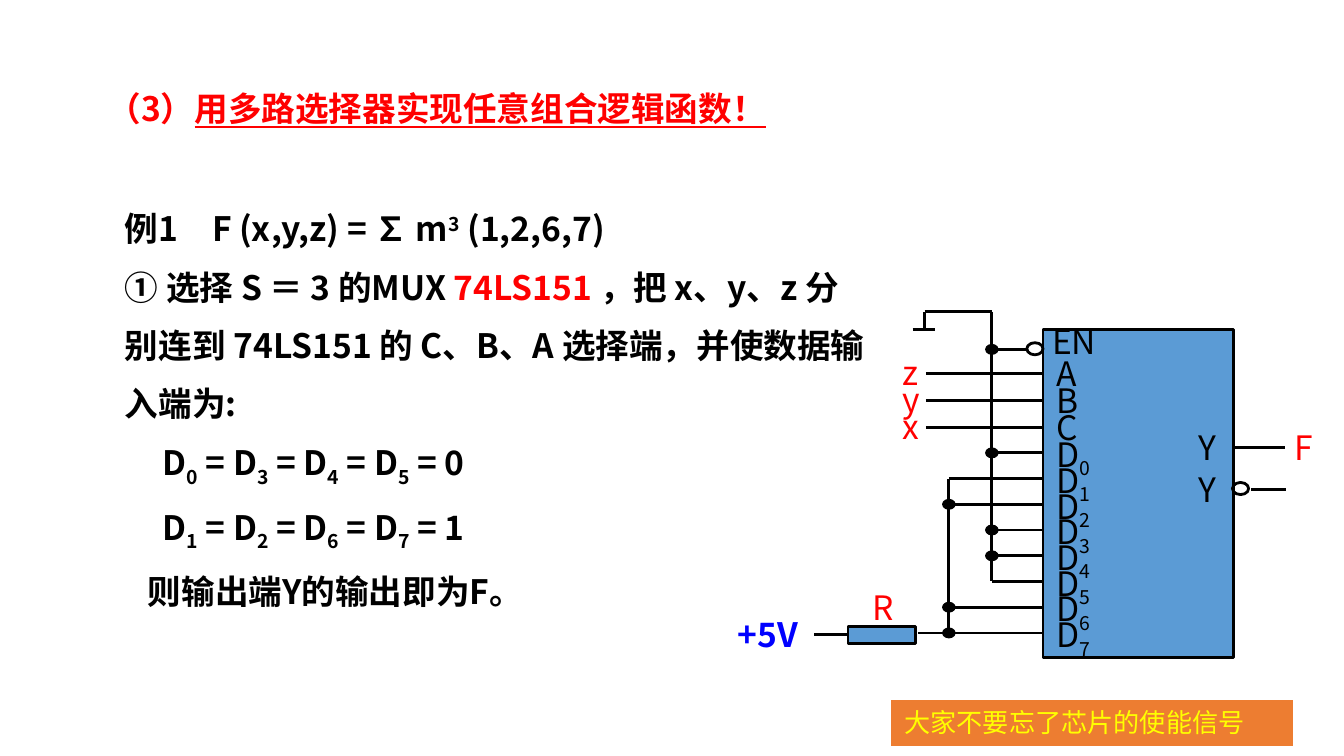
import pptx
import pptx.dml.color
import pptx.enum.shapes
import pptx.enum.text
import pptx.oxml.ns
import pptx.util
from lxml import etree

Inches = pptx.util.Inches
RGBColor = pptx.dml.color.RGBColor
Shape = pptx.enum.shapes.MSO_SHAPE
qn = pptx.oxml.ns.qn

BLACK = RGBColor(0x00, 0x00, 0x00)
RED = RGBColor(0xFF, 0x00, 0x00)
BLUE = RGBColor(0x00, 0x00, 0xFF)
CHIP_BLUE = RGBColor(0x5B, 0x9B, 0xD5)
ORANGE = RGBColor(0xED, 0x7D, 0x31)
YELLOW = RGBColor(0xFF, 0xFF, 0x00)
HEAD_FONT = "Noto Sans CJK JP"
LABEL_FONT = "Noto Sans CJK SC"


def add_run(paragraph, text, color=BLACK, size=18, latin=HEAD_FONT,
            east_asian=None, bold=False, underline=False, baseline=0):
    run = paragraph.add_run()
    run.text = text
    font = run.font
    font.size, font.bold = pptx.util.Pt(size), bold
    if underline:
        font.underline = True
    font.color.rgb = color
    font.name = latin
    properties = run._r.get_or_add_rPr()
    etree.SubElement(properties, qn("a:ea"), typeface=east_asian or latin)
    if baseline:
        properties.set("baseline", str(baseline * 1000))


def place(shape, left, top, width, height):
    shape.left, shape.top = Inches(left), Inches(top)
    shape.width, shape.height = Inches(width), Inches(height)
    frame = shape.text_frame
    frame.word_wrap = True
    frame.auto_size = pptx.enum.text.MSO_AUTO_SIZE.NONE
    frame.vertical_anchor = pptx.enum.text.MSO_ANCHOR.TOP
    return frame


def add_title(slide, box):
    paragraph = place(slide.shapes.title, *box).paragraphs[0]
    paragraph.alignment = pptx.enum.text.PP_ALIGN.LEFT
    paragraph.line_spacing = 0.9
    add_run(paragraph, "（3）", RED, bold=True)
    add_run(paragraph, "用多路选择器实现任意组合逻辑函数！", RED, bold=True, underline=True)


def data_equation(indices, value):
    runs = []
    for position, index in enumerate(indices):
        runs += [(" = D" if position else "D", BLACK, 0), (index, BLACK, -25)]
    return runs + [(f" = {value}", BLACK, 0)]


def add_example(slide, box):
    # Each line: left indent, runs of (text, colour, baseline)
    lines = [
        (0, [("例1　F (x,y,z) = ∑ m", BLACK, 0), ("3", BLACK, 30),
             (" (1,2,6,7)", BLACK, 0)]),
        (0, [("① 选择 S ＝ 3 的MUX ", BLACK, 0), ("74LS151 ", RED, 0),
             ("，把 x、y、z 分", BLACK, 0)]),
        (0, [("别连到 74LS151 的 C、B、A 选择端，并使数据输", BLACK, 0)]),
        (0, [("入端为:", BLACK, 0)]),
        (0.28, data_equation("0345", 0)),
        (0.28, data_equation("1267", 1)),
        (0.17, [("则输出端Y的输出即为F。", BLACK, 0)]),
    ]
    frame = place(slide.placeholders[1], *box)
    for number, (indent, runs) in enumerate(lines):
        paragraph = frame.add_paragraph() if number else frame.paragraphs[0]
        properties = paragraph._p.get_or_add_pPr()
        properties.set("marL", str(Inches(indent)))
        properties.set("indent", "0")
        etree.SubElement(properties, qn("a:buNone"))
        paragraph.line_spacing = 1.1
        paragraph.space_before = pptx.util.Pt(7.5 if number else 0)
        for text, color, baseline in runs:
            add_run(paragraph, text, color, bold=True, baseline=baseline)


def add_circuit(slide, left, top):
    parts = slide.shapes.add_group_shape().shapes

    def wire(x1, y1, x2, y2):
        line = parts.add_connector(
            pptx.enum.shapes.MSO_CONNECTOR.STRAIGHT,
            Inches(left + x1), Inches(top + y1), Inches(left + x2), Inches(top + y2))
        line.line.color.rgb = BLACK
        line.line.width = pptx.util.Pt(1.5)
        etree.SubElement(line._element.spPr, qn("a:effectLst"))

    def outline(kind, x, y, width, height, fill=None):
        shape = parts.add_shape(kind, Inches(left + x), Inches(top + y),
                                Inches(width), Inches(height))
        shape.shadow.inherit = False
        if fill is None:
            shape.fill.background()
        else:
            shape.fill.solid()
            shape.fill.fore_color.rgb = fill
        shape.line.color.rgb = BLACK
        shape.line.width = pptx.util.Pt(1.5)

    def node(x, y):
        outline(Shape.OVAL, x - 0.04, y - 0.03, 0.08, 0.06, BLACK)

    def label(x, y, text, color=BLACK, subscript="", width=0.58, bold=False):
        frame = parts.add_textbox(Inches(left + x), Inches(top + y),
                                  Inches(width), Inches(0.4)).text_frame
        frame.word_wrap = True
        paragraph = frame.paragraphs[0]
        add_run(paragraph, text, color, latin=LABEL_FONT, bold=bold)
        if subscript:
            add_run(paragraph, subscript, color, latin=LABEL_FONT, baseline=-25)

    chip_left, chip_right = 2.37, 3.79
    ground_x, supply_x, input_x = 1.99, 1.67, 1.5
    enable_y, first_data_y, last_data_y = 0.28, 1.05, 2.39
    pitch = (last_data_y - first_data_y) / 7
    select_y = [0.46 + 0.2 * pin for pin in range(3)]
    data_y = [first_data_y + pitch * pin for pin in range(8)]

    # Chip and its pin names
    outline(Shape.RECTANGLE, chip_left, 0.13, 1.42, 2.44, CHIP_BLUE)
    label(chip_left - 0.03, 0.02, "EN", width=0.6)
    for name, y in zip("ABC", select_y):
        label(chip_left, y - 0.2, name)
    for index, y in enumerate(data_y):
        label(chip_left, y - 0.19, "D", subscript=str(index))

    # Select inputs
    for name, y in zip("zyx", select_y):
        wire(input_x, y, chip_left, y)
        label(1.23, y - 0.21, name, RED, width=0.42)

    # Ground bus: enable, D0, D3, D4, D5
    wire(1.4, 0.13, 1.57, 0.13)
    wire(1.49, 0, 1.49, 0.13)
    wire(1.49, 0, ground_x, 0)
    wire(ground_x, 0, ground_x, data_y[5])
    wire(ground_x, enable_y, 2.26, enable_y)
    outline(Shape.OVAL, 2.25, 0.23, 0.12, 0.09)
    node(ground_x, enable_y)
    for index in (0, 3, 4, 5):
        wire(ground_x, data_y[index], chip_left, data_y[index])
        if index != 5:
            node(ground_x, data_y[index])

    # Supply bus: D1, D2, D6, D7
    wire(supply_x, data_y[1], supply_x, last_data_y)
    for index in (1, 2, 6, 7):
        wire(1.44 if index == 7 else supply_x, data_y[index], chip_left, data_y[index])
        if index != 1:
            node(supply_x, data_y[index])
    wire(0.67, 2.4, 0.92, 2.4)
    outline(Shape.RECTANGLE, 0.92, 2.34, 0.5, 0.13, CHIP_BLUE)
    label(0, 2.2, "+5V", BLUE, width=0.83, bold=True)
    label(1, 2, "R", RED, width=0.42)

    # Outputs
    for y in (1.01, 1.32):
        label(3.43, y - 0.2, "Y", width=0.5)
    wire(chip_right + 0.01, 1.01, 4.17, 1.01)
    outline(Shape.OVAL, chip_right - 0.01, 1.27, 0.12, 0.09)
    wire(3.92, 1.32, 4.18, 1.32)
    label(4.14, 0.81, "F", RED, width=0.42)


def add_reminder(slide, box):
    banner = slide.shapes.add_shape(Shape.RECTANGLE, *map(Inches, box))
    banner.shadow.inherit = False
    banner.fill.solid()
    banner.fill.fore_color.rgb = ORANGE
    banner.line.fill.background()
    paragraph = place(banner, *box).paragraphs[0]
    paragraph.alignment = pptx.enum.text.PP_ALIGN.LEFT
    add_run(paragraph, "大家不要忘了芯片的使能信号", YELLOW, 14, "Calibri", LABEL_FONT)


def main():
    presentation = pptx.Presentation()
    # Widescreen, 16 to 9
    presentation.slide_width = Inches(10)
    presentation.slide_height = Inches(10) * 9 // 16
    slide = presentation.slides.add_slide(presentation.slide_layouts[1])
    add_title(slide, (0.7, 0.64, 8.5, 0.62))
    add_example(slide, (0.83, 1.47, 8.75, 3.31))
    add_circuit(slide, 5.39, 2.32)
    add_reminder(slide, (6.63, 5.21, 2.99, 0.34))
    presentation.save("out.pptx")


if __name__ == "__main__":
    main()
